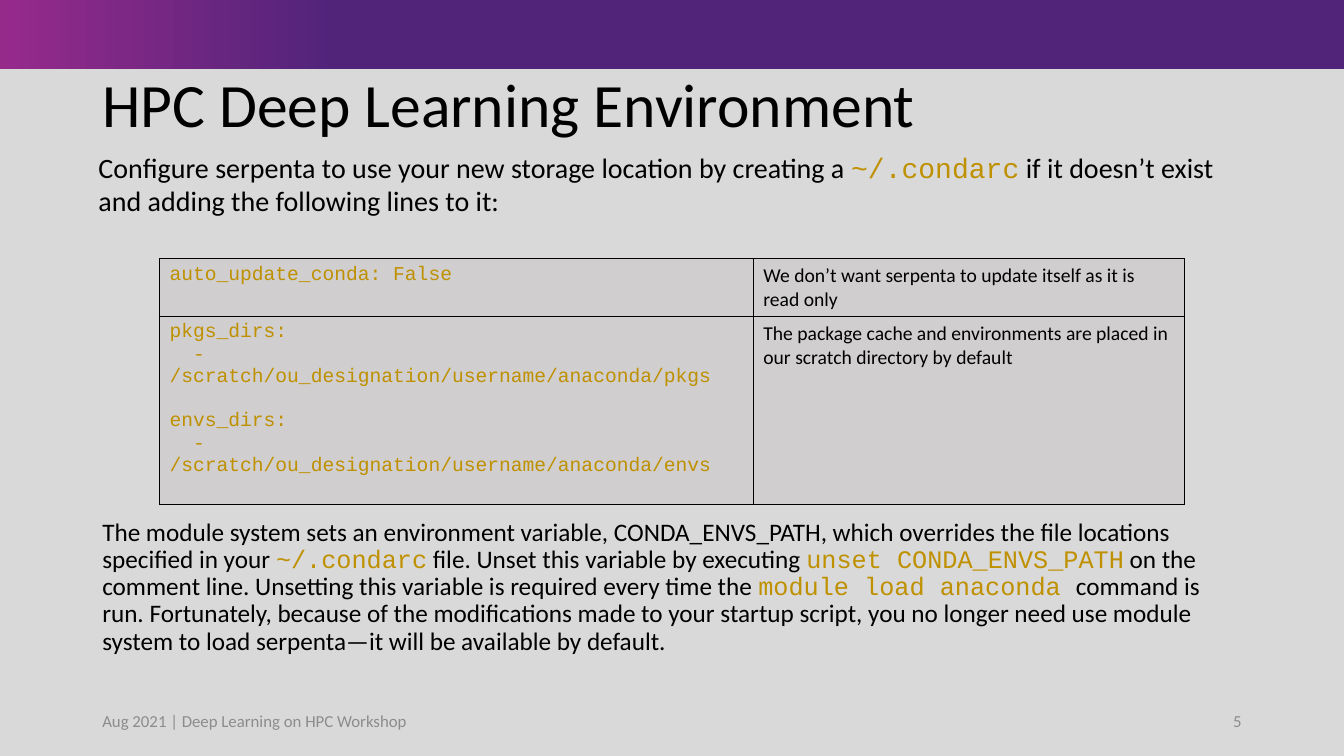
import pptx
import pptx.dml.color
import pptx.enum.shapes
import pptx.enum.text
import pptx.oxml
import pptx.oxml.ns
import pptx.util

Pt = pptx.util.Pt
Anchor = pptx.enum.text.MSO_ANCHOR
Align = pptx.enum.text.PP_ALIGN

COLORS = {
    "background": "D9D9D9",
    "purple": "51247A",
    "magenta": "962A8B",
    "text": "000000",
    "code": "BF9000",
    "cell": "D0CECE",
    "border": "000000",
    "footer": "8C8C8C",
}
BODY_FONT, CODE_FONT = "Calibri", "Courier New"
SLIDE_WIDTH, SLIDE_HEIGHT = 960, 540

INTRO = [
    "Configure serpenta to use your new storage location by creating a ",
    "~/.condarc",
    " if it doesn’t exist and adding the following lines to it:",
]
MODULE_NOTE = [
    "The module system sets an environment variable, CONDA_ENVS_PATH, which "
    "overrides the file locations specified in your ",
    "~/.condarc",
    " file. Unset this variable by executing ",
    "unset CONDA_ENVS_PATH",
    " on the comment line. Unsetting this variable is required every time the ",
    "module load anaconda ",
    "command is run. Fortunately, because of the modifications made to your "
    "startup script, you no longer need use module system to load serpenta—it "
    "will be available by default.",
]
# Each row: code blocks (lists of lines), then the explanation
CONDARC_ROWS = [
    ([["auto_update_conda: False"]],
     "We don’t want serpenta to update itself as it is read only"),
    ([["pkgs_dirs:", "  - /scratch/ou_designation/username/anaconda/pkgs"],
      ["envs_dirs:", "  - /scratch/ou_designation/username/anaconda/envs"]],
     "The package cache and environments are placed in our scratch directory by default"),
]


def color(name):
    return pptx.dml.color.RGBColor.from_string(COLORS[name])


def set_font(font, size, color_name="text", name=BODY_FONT):
    font.name, font.size = name, Pt(size)
    font.color.rgb = color(color_name)


def add_banner(slide, left, top, width, height):
    banner = slide.shapes.add_shape(
        pptx.enum.shapes.MSO_SHAPE.RECTANGLE, Pt(left), Pt(top), Pt(width), Pt(height))
    banner.shadow.inherit = False
    banner.line.fill.background()
    banner.fill.gradient()
    banner.fill.gradient_angle = 0
    stops = banner.fill.gradient_stops
    for stop, name, position in zip(stops, ("magenta", "purple"), (0, 0.25)):
        stop.color.rgb = color(name)
        stop.position = position


def add_text(slide, box, segments, size, color_name="text", anchor=Anchor.TOP,
             align=Align.LEFT, line_spacing=1.0):
    """Add one paragraph whose segments alternate between prose and code."""
    frame = slide.shapes.add_textbox(*map(Pt, box)).text_frame
    frame.word_wrap = True
    frame.vertical_anchor = anchor
    paragraph = frame.paragraphs[0]
    paragraph.alignment = align
    paragraph.line_spacing = line_spacing
    if len(segments) == 1:
        paragraph.text = segments[0]
        set_font(paragraph.font, size, color_name)
        return
    for index, segment in enumerate(segments):
        run = paragraph.add_run()
        run.text = segment
        if index % 2:
            set_font(run.font, size, "code", CODE_FONT)
        else:
            set_font(run.font, size, color_name)


def style_cell(cell):
    properties = cell._tc.get_or_add_tcPr()
    for side in ("lnL", "lnR", "lnT", "lnB"):
        properties.append(pptx.oxml.parse_xml(
            f'<a:{side} {pptx.oxml.ns.nsdecls("a")} w="{Pt(1)}"><a:solidFill>'
            f'<a:srgbClr val="{COLORS["border"]}"/></a:solidFill></a:{side}>'))
    cell.fill.solid()
    cell.fill.fore_color.rgb = color("cell")


def write_code(cell, blocks, size):
    frame = cell.text_frame
    for block_index, block in enumerate(blocks):
        for line_index, line in enumerate(block):
            is_first = block_index == line_index == 0
            paragraph = frame.paragraphs[0] if is_first else frame.add_paragraph()
            paragraph.text = line
            if block_index and line_index == 0:
                paragraph.space_before = Pt(16)
            set_font(paragraph.font, size, "code", CODE_FONT)


def add_condarc_table(slide, left, top, column_widths, row_heights, size=14):
    table = slide.shapes.add_table(
        len(row_heights), len(column_widths), Pt(left), Pt(top),
        Pt(sum(column_widths)), Pt(sum(row_heights))).table
    table.first_row = table.horz_banding = False
    for column, width in zip(table.columns, column_widths):
        column.width = Pt(width)
    for row, height, (blocks, explanation) in zip(table.rows, row_heights, CONDARC_ROWS):
        row.height = Pt(height)
        code_cell, explanation_cell = row.cells
        style_cell(code_cell)
        style_cell(explanation_cell)
        write_code(code_cell, blocks, size)
        paragraph = explanation_cell.text_frame.paragraphs[0]
        paragraph.text = explanation
        set_font(paragraph.font, size)


def add_footer(slide, left, top, width, height):
    number_width = 216
    add_text(slide, (left, top, 240, height), ["Aug 2021 | Deep Learning on HPC Workshop"],
             12, "footer", Anchor.MIDDLE)
    add_text(slide, (left + width - number_width, top, number_width, height), ["5"],
             12, "footer", Anchor.MIDDLE, Align.RIGHT)


def build_slide(presentation):
    slide = presentation.slides.add_slide(presentation.slide_layouts[6])
    slide.background.fill.solid()
    slide.background.fill.fore_color.rgb = color("background")
    margin = 66
    width = SLIDE_WIDTH - 2 * margin
    add_banner(slide, 0, 0, SLIDE_WIDTH, 49.5)
    add_text(slide, (margin, 49.5, width, 55), ["HPC Deep Learning Environment"],
             44, anchor=Anchor.MIDDLE, line_spacing=0.9)
    add_text(slide, (63.3, 103.7, width, 58), INTRO, 20)
    add_condarc_table(slide, 113.9, 184.8, (424.2, 308), (41.4, 134.4))
    add_text(slide, (margin, 367.4, width, 109.4), MODULE_NOTE, 18, line_spacing=0.9)
    add_footer(slide, margin, 500.5, width, 28.8)


def main():
    presentation = pptx.Presentation()
    presentation.slide_width = Pt(SLIDE_WIDTH)
    presentation.slide_height = Pt(SLIDE_HEIGHT)
    build_slide(presentation)
    presentation.save("out.pptx")


if __name__ == "__main__":
    main()
